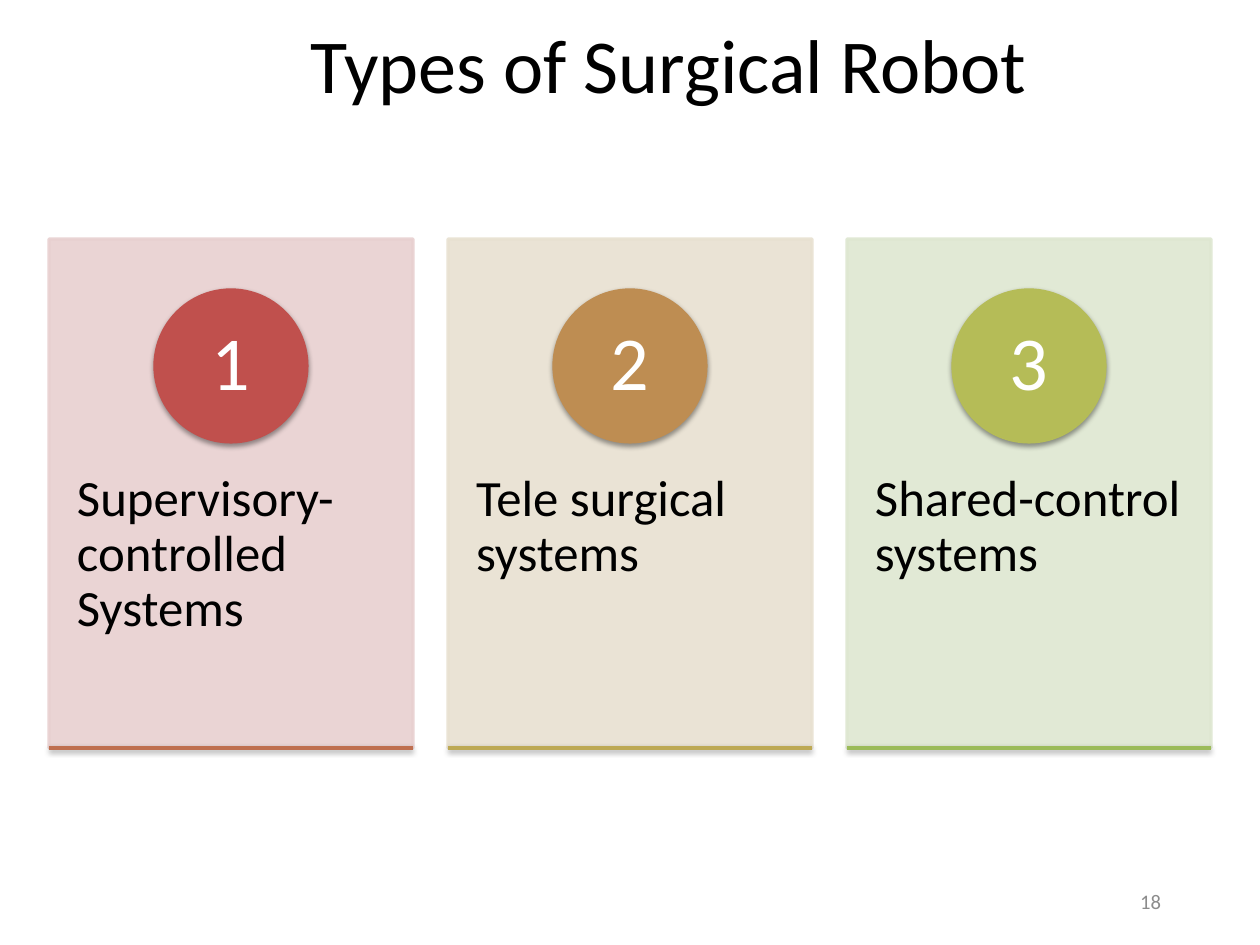
from dataclasses import dataclass

from lxml import etree
from pptx import Presentation
from pptx.dml.color import RGBColor
from pptx.enum.shapes import MSO_CONNECTOR, MSO_SHAPE
from pptx.enum.text import MSO_ANCHOR, PP_ALIGN
from pptx.oxml import parse_xml
from pptx.oxml.ns import nsdecls, qn
from pptx.util import Pt

RECT, OVAL = MSO_SHAPE.RECTANGLE, MSO_SHAPE.OVAL
STRAIGHT = MSO_CONNECTOR.STRAIGHT
TOP, MIDDLE = MSO_ANCHOR.TOP, MSO_ANCHOR.MIDDLE
LEFT, CENTER, RIGHT = PP_ALIGN.LEFT, PP_ALIGN.CENTER, PP_ALIGN.RIGHT
JUSTIFY = PP_ALIGN.JUSTIFY
TITLE_ONLY = 5

SLIDE_W, SLIDE_H = 1260, 945
CARD_X, CARD_Y, CARD_W, CARD_H, CARD_PITCH = 49, 239, 364, 509, 399
CARD_INSETS = (28, 234, 28, 41)
CIRCLE_Y, CIRCLE_D = 290, 152


@dataclass(frozen=True)
class Theme:
    font: str = "Calibri"
    ink: str = "000000"
    white: str = "FFFFFF"
    muted: str = "8C8C8C"
    big: int = 48
    body: int = 32
    small: int = 13
    line: int = 2
    card_opacity: int = 90


@dataclass(frozen=True)
class Card:
    label: str
    align: PP_ALIGN
    fill: str
    circle: str
    rule: str


THEME = Theme()
CARDS = [
    Card("Supervisory- controlled Systems", JUSTIFY, "E8D0D0", "C0504D", "BF6F4F"),
    Card("Tele surgical systems", LEFT, "E8E1D1", "BE8D52", "BDA954"),
    Card("Shared-control systems", LEFT, "DEE7D1", "B5BC57", "9BBB59"),
]


def px(n):
    return n * 8000


def rgb(color):
    return RGBColor.from_string(color)


def write(s, text, size, color, align, anchor, insets, spacing=1.0):
    """Fill a shape with one paragraph; insets are left, top, right, bottom."""
    tf = s.text_frame
    tf.word_wrap = True
    tf.vertical_anchor = anchor
    tf.margin_left, tf.margin_top, tf.margin_right, tf.margin_bottom = map(px, insets)
    p = tf.paragraphs[0]
    p.alignment = align
    p.line_spacing = spacing
    r = p.add_run()
    r.text = text
    r.font.name = THEME.font
    r.font.size = Pt(size)
    r.font.color.rgb = rgb(color)


def add_filled(sp, kind, x, y, w, h, color):
    s = sp.add_shape(kind, px(x), px(y), px(w), px(h))
    s.shadow.inherit = False
    s.fill.solid()
    s.fill.fore_color.rgb = rgb(color)
    s.line.color.rgb = rgb(color)
    s.line.width = Pt(THEME.line)
    return s


def set_opacity(s, percent):
    for clr in s.element.spPr.iter(qn("a:srgbClr")):
        etree.SubElement(clr, qn("a:alpha")).set("val", str(percent * 1000))


def add_shadow(s):
    """Give a shape or connector a soft shadow straight below it."""
    spPr = s.element.spPr
    for old in spPr.findall(qn("a:effectLst")):
        spPr.remove(old)
    spPr.append(parse_xml(
        f'<a:effectLst {nsdecls("a")}>'
        '<a:outerShdw blurRad="40000" dist="20000" dir="5400000" rotWithShape="0">'
        '<a:srgbClr val="000000"><a:alpha val="38000"/></a:srgbClr>'
        '</a:outerShdw></a:effectLst>'))


def add_title(s, text):
    title = s.shapes.title
    title.left, title.top, title.width, title.height = map(px, (125, 18, 1087, 91))
    write(title, text, THEME.big, THEME.ink, CENTER, MIDDLE, (13, 7, 13, 7))


def add_card(sp, index, card):
    x = CARD_X + index * CARD_PITCH
    panel = add_filled(sp, RECT, x, CARD_Y, CARD_W, CARD_H, card.fill)
    set_opacity(panel, THEME.card_opacity)
    write(panel, card.label, THEME.body, THEME.ink, card.align, TOP, CARD_INSETS, 0.9)

    circle = add_filled(sp, OVAL, x + (CARD_W - CIRCLE_D) // 2, CIRCLE_Y,
                        CIRCLE_D, CIRCLE_D, card.circle)
    add_shadow(circle)
    write(circle, str(index + 1), THEME.big, THEME.white, CENTER, MIDDLE,
          (11, 1, 11, 1), 0.9)

    bottom = CARD_Y + CARD_H
    rule = sp.add_connector(STRAIGHT, px(x), px(bottom), px(x + CARD_W), px(bottom))
    rule.line.color.rgb = rgb(card.rule)
    rule.line.width = Pt(THEME.line)
    add_shadow(rule)


def add_page_number(sp, number):
    box = sp.add_textbox(px(890), px(876), px(284), px(50))
    write(box, number, THEME.small, THEME.muted, RIGHT, MIDDLE, (13, 7, 13, 7))


def main():
    prs = Presentation()
    prs.slide_width, prs.slide_height = px(SLIDE_W), px(SLIDE_H)
    s = prs.slides.add_slide(prs.slide_layouts[TITLE_ONLY])
    add_title(s, "Types of Surgical Robot")
    for index, card in enumerate(CARDS):
        add_card(s.shapes, index, card)
    add_page_number(s.shapes, "18")
    prs.save("out.pptx")


if __name__ == "__main__":
    main()
